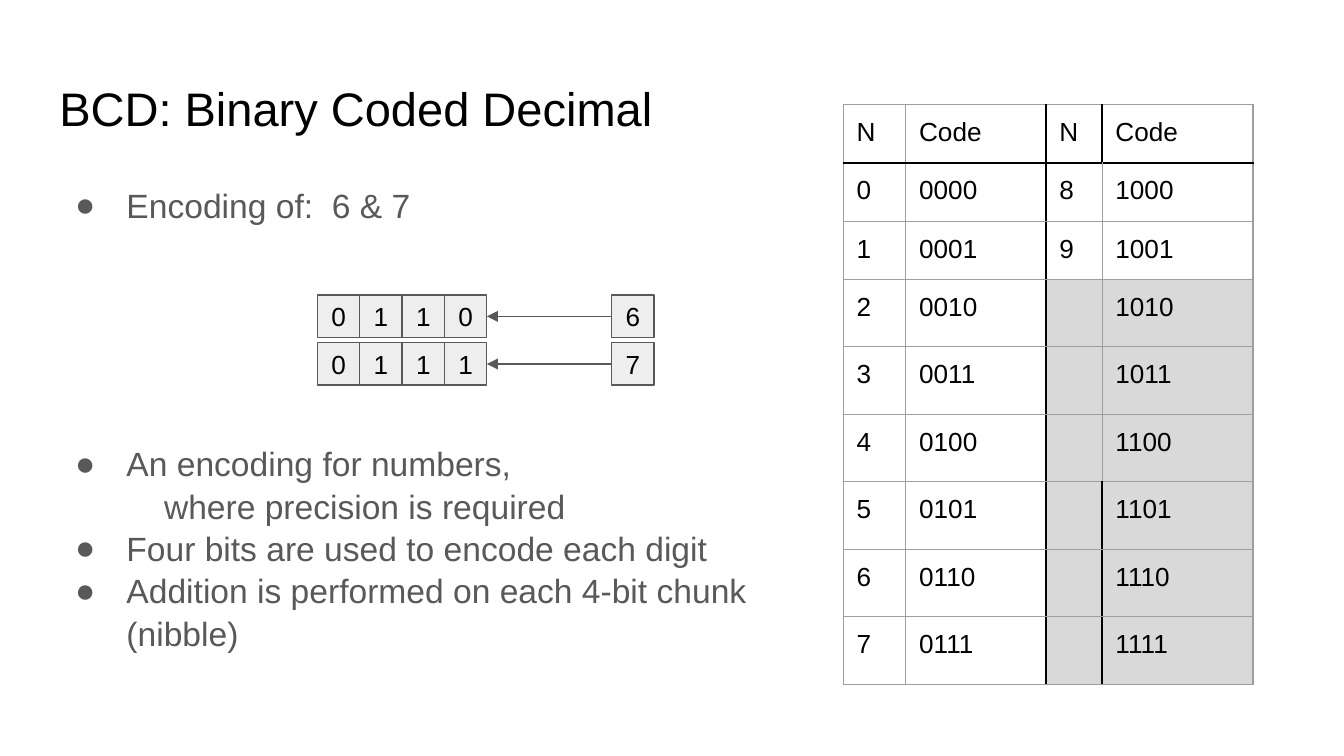
from lxml import etree
from pptx import Presentation
from pptx.dml.color import RGBColor
from pptx.enum import shapes, text
from pptx.oxml import ns
from pptx.util import Cm, Pt

BLACK = RGBColor(0x00, 0x00, 0x00)
GREY = RGBColor(0x59, 0x59, 0x59)
GRID = RGBColor(0x9E, 0x9E, 0x9E)
BOX = RGBColor(0xEE, 0xEE, 0xEE)
UNUSED = RGBColor(0xD9, 0xD9, 0xD9)

TITLE = "BCD: Binary Coded Decimal"
# text, has a bullet, space before in points
POINTS = [
    ("Encoding of:  6 & 7", True, 0),
    ("An encoding for numbers,", True, 116),
    ("where precision is required", False, 0),
    ("Four bits are used to encode each digit", True, 0),
    ("Addition is performed on each 4-bit chunk (nibble)", True, 0),
]
ENCODED_DIGITS = [6, 7]
HEADINGS = ["N", "Code"] * 2
CODES = [
    [str(n), f"{n:04b}", str(n + 8) if n + 8 < 10 else "", f"{n + 8:04b}"]
    for n in range(8)
]

BOX_SIDE = 0.8
BITS_LEFT, DIGIT_LEFT = 6, 11.56
BOXES_TOP, BOXES_PITCH = 5.58, 0.9
COLUMN_WIDTHS = [1.18, 2.65, 1.06, 2.85]
ROW_HEIGHTS = [1.1] * 3 + [1.22] * 6


def add_xml(parent, tag, **attributes):
    return etree.SubElement(parent, ns.qn(tag), attributes)


def write(paragraph, words, size=14, color=BLACK, align=text.PP_ALIGN.LEFT,
          spacing=1, before=0):
    run = paragraph.add_run()
    run.text = words
    run.font.name = "Arial"
    run.font.size = Pt(size)
    run.font.bold = False
    run.font.color.rgb = color
    paragraph.alignment = align
    paragraph.line_spacing = spacing
    paragraph.space_before = Pt(before)
    paragraph.space_after = Pt(0)


def set_margins(target):
    """Give a text frame or a table cell the same margin on all sides."""
    target.margin_left = target.margin_right = Cm(0.25)
    target.margin_top = target.margin_bottom = Cm(0.25)


def place(placeholder, left, top, width, height):
    placeholder.left, placeholder.top = Cm(left), Cm(top)
    placeholder.width, placeholder.height = Cm(width), Cm(height)
    frame = placeholder.text_frame
    frame.auto_size = text.MSO_AUTO_SIZE.NONE
    frame.word_wrap = True
    set_margins(frame)
    return frame


def set_bullet(paragraph, bulleted):
    properties = paragraph._p.get_or_add_pPr()
    margin, indent = (1.27, -0.97) if bulleted else (1.98, 0)
    properties.set("marL", str(Cm(margin)))
    properties.set("indent", str(Cm(indent)))
    if bulleted:
        color = add_xml(properties, "a:buClr")
        add_xml(color, "a:srgbClr", val=str(GREY))
        add_xml(properties, "a:buFont", typeface="Arial")
        add_xml(properties, "a:buChar", char="●")
    else:
        add_xml(properties, "a:buNone")


def add_box(owner, left, top, digit):
    box = owner.add_shape(shapes.MSO_SHAPE.RECTANGLE, Cm(left), Cm(top),
                          Cm(BOX_SIDE), Cm(BOX_SIDE))
    box.shadow.inherit = False
    box.fill.solid()
    box.fill.fore_color.rgb = BOX
    box.line.color.rgb = GREY
    box.line.width = Pt(0.75)
    frame = box.text_frame
    frame.vertical_anchor = text.MSO_ANCHOR.MIDDLE
    set_margins(frame)
    write(frame.paragraphs[0], digit, align=text.PP_ALIGN.CENTER)
    return box


def add_arrow(slide, start, end):
    """Point from the left side of start to the right side of end."""
    arrow = slide.shapes.add_connector(shapes.MSO_CONNECTOR.STRAIGHT, 0, 0, 0, 0)
    arrow.begin_connect(start, 1)
    arrow.end_connect(end, 3)
    arrow.line.color.rgb = GREY
    arrow.line.width = Pt(0.75)
    add_xml(arrow.line._get_or_add_ln(), "a:tailEnd", type="triangle")
    add_xml(arrow._element.spPr, "a:effectLst")


def add_encoding(slide, digit, top):
    """Draw a digit with an arrow to its four bits."""
    bits = slide.shapes.add_group_shape().shapes
    for i, bit in enumerate(f"{digit:04b}"):
        last_bit = add_box(bits, BITS_LEFT + i * BOX_SIDE, top, bit)
    digit_box = add_box(slide.shapes, DIGIT_LEFT, top, str(digit))
    add_arrow(slide, digit_box, last_bit)


def set_borders(cell, row, column):
    thin, thick = (GRID, 0.75), (BLACK, 1.5)
    # the last two columns are parted in black in the header and from code 5 down
    inner = (BLACK, 1) if row == 0 or row > 5 else thin
    verticals = [thin, thin, thick, inner, thin]
    borders = {
        "a:lnL": verticals[column],
        "a:lnR": verticals[column + 1],
        "a:lnT": thick if row == 1 else thin,
        "a:lnB": thick if row == 0 else thin,
    }
    properties = cell._tc.get_or_add_tcPr()
    for tag, (color, width) in borders.items():
        line = add_xml(properties, tag, w=str(Pt(width)))
        add_xml(add_xml(line, "a:solidFill"), "a:srgbClr", val=str(color))


def add_code_table(slide):
    rows = [HEADINGS] + CODES
    table = slide.shapes.add_table(
        len(rows), len(HEADINGS), Cm(15.94), Cm(1.98),
        Cm(sum(COLUMN_WIDTHS)), Cm(sum(ROW_HEIGHTS))).table
    table.first_row = table.horz_banding = False
    for column, width in zip(table.columns, COLUMN_WIDTHS):
        column.width = Cm(width)
    for r, (row, height) in enumerate(zip(rows, ROW_HEIGHTS)):
        table.rows[r].height = Cm(height)
        for c, words in enumerate(row):
            cell = table.cell(r, c)
            set_margins(cell)
            set_borders(cell, r, c)
            if r > 2 and c > 1:
                cell.fill.solid()
                cell.fill.fore_color.rgb = UNUSED
            else:
                cell.fill.background()
            if words:
                write(cell.text_frame.paragraphs[0], words)


def main():
    deck = Presentation()
    deck.slide_width, deck.slide_height = Cm(25.4), Cm(14.29)
    slide = deck.slides.add_slide(deck.slide_layouts[1])

    title = place(slide.shapes.title, 0.87, 1.24, 23.67, 1.6)
    write(title.paragraphs[0], TITLE, size=25.2)

    body = place(slide.placeholders[1], 0.87, 3.2, 15.09, 9.5)
    for i, (words, bulleted, before) in enumerate(POINTS):
        paragraph = body.add_paragraph() if i else body.paragraphs[0]
        write(paragraph, words, size=18, color=GREY, spacing=1.05, before=before)
        set_bullet(paragraph, bulleted)

    add_code_table(slide)
    for i, digit in enumerate(ENCODED_DIGITS):
        add_encoding(slide, digit, BOXES_TOP + i * BOXES_PITCH)
    deck.save("out.pptx")


if __name__ == "__main__":
    main()
